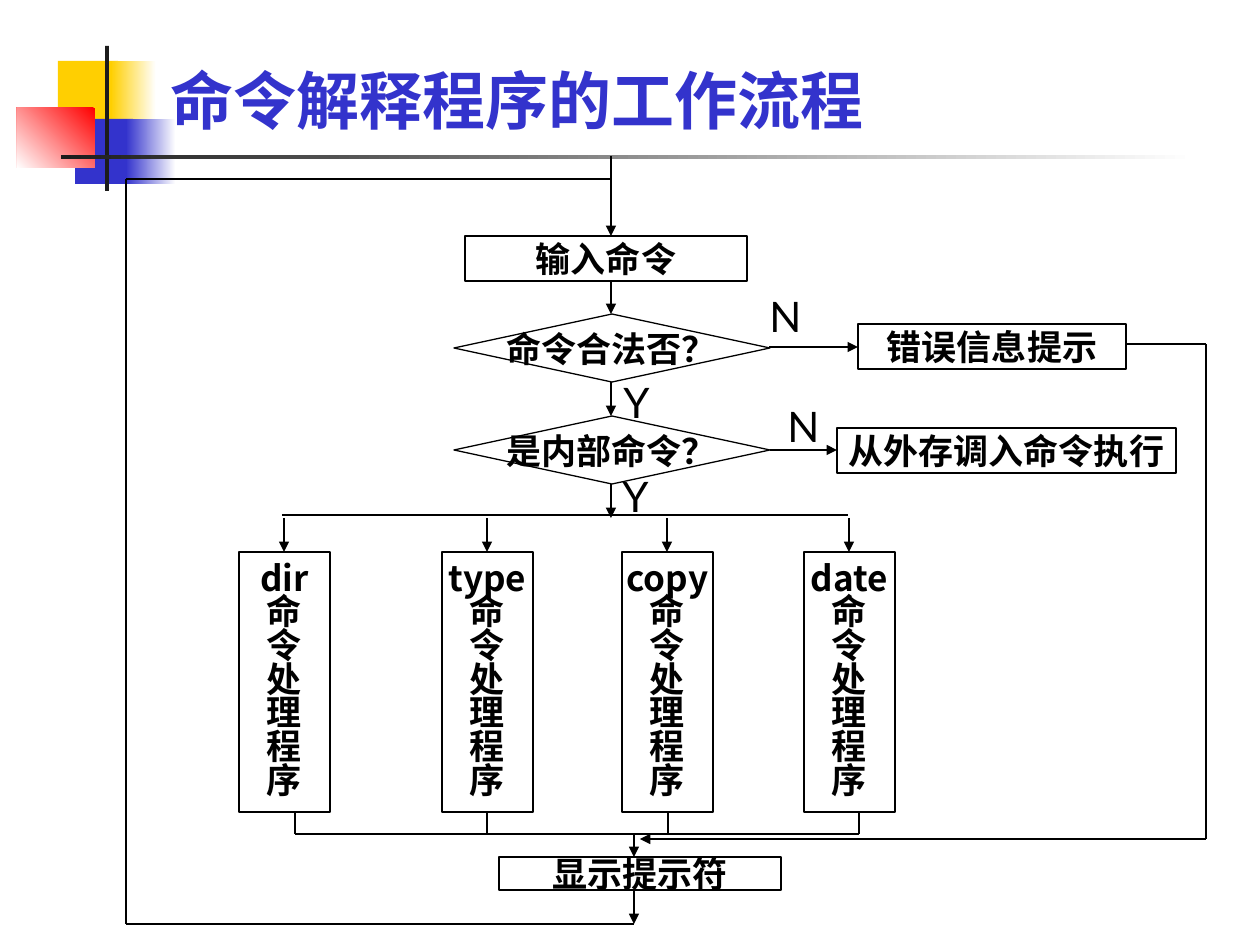
from itertools import pairwise

from lxml.etree import SubElement
from pptx import Presentation
from pptx.dml.color import RGBColor
from pptx.enum.shapes import MSO_CONNECTOR, MSO_SHAPE
from pptx.enum.text import MSO_ANCHOR, MSO_AUTO_SIZE, PP_ALIGN
from pptx.oxml.ns import qn
from pptx.util import Emu, Pt

SCALE = 914400 / 126
HAN = "Noto Sans CJK SC"
BLUE, BLACK, WHITE = "3333CC", "000000", "FFFFFF"
RECT, DIAMOND = MSO_SHAPE.RECTANGLE, MSO_SHAPE.FLOWCHART_DECISION


def px(*nums):
    """Turn pixel lengths into EMU."""
    return [Emu(round(n * SCALE)) for n in nums]


def style(frame, size, name, color, bold, align, space=None):
    for para in frame.paragraphs:
        para.alignment = align
        para.line_spacing = space
        font = para.font
        font.size, font.name, font.bold = Pt(size), name, bold
        font.color.rgb = RGBColor.from_string(color)
        SubElement(font._element, qn("a:ea"), typeface=name)


prs = Presentation()
prs.slide_width, prs.slide_height = px(1260, 945)
slide = prs.slides.add_slide(prs.slide_layouts[5])
shapes = slide.shapes

# Corner ornament and rule: box, colours from first to last stop, angle
ornament = [
    ((58, 61, 60, 65), ["FFCF01"], 0),
    ((111, 61, 45, 65), [WHITE, "FFCF01"], 180),
    ((75, 119, 58, 65), [BLUE], 0),
    ((126, 119, 50, 65), [WHITE, BLUE], 180),
    ((17, 108, 78, 60), ["FF0000", WHITE], 225),
    ((105, 46, 4, 145), ["1C1C1C"], 0),
    ((61, 155, 1134, 4), [WHITE, "1C1C1C"], 180),
]
for box, colors, angle in ornament:
    part = shapes.add_shape(RECT, *px(*box))
    part.shadow.inherit = False
    part.line.fill.background()
    if len(colors) == 1:
        part.fill.solid()
        part.fill.fore_color.rgb = RGBColor.from_string(colors[0])
    else:
        part.fill.gradient()
        part.fill.gradient_angle = angle
        for stop, color in zip(part.fill.gradient_stops, colors):
            stop.color.rgb = RGBColor.from_string(color)

title = shapes.title
title.left, title.top, title.width, title.height = px(158, 26, 1074, 117)
title.text_frame.text = "命令解释程序的工作流程"
title.text_frame.vertical_anchor = MSO_ANCHOR.BOTTOM
style(title.text_frame, 36, HAN, BLUE, True, PP_ALIGN.LEFT)
shapes.element.append(title.element)  # in front of the ornament

# Flow lines: points, arrow at the end
mid, out = 611, 634
lines = [
    ([(282, 515), (848, 515)], False),
    ([(mid, 156), (mid, 236)], True),
    ([(mid, 281), (mid, 314)], True),
    ([(mid, 382), (mid, 416)], True),
    ([(mid, 484), (mid, 518)], True),
    ([(769, 347), (858, 347)], True),
    ([(770, 450), (837, 450)], True),
    ([(295, 834), (859, 834)], False),
    ([(out, 834), (out, 857)], True),
    ([(out, 890), (out, 924)], True),
    ([(out, 924), (126, 924), (126, 179), (mid, 179)], False),
    ([(1126, 344), (1206, 344), (1206, 839), (640, 839)], True),
]

# Boxes: kind, place, text, line spacing
boxes = [
    (RECT, (465, 236, 282, 45), "输入命令", None),
    (DIAMOND, (454, 314, 316, 68), "命令合法否？", None),
    (DIAMOND, (454, 416, 316, 68), "是内部命令？", None),
    (RECT, (858, 324, 268, 45), "错误信息提示", None),
    (RECT, (837, 428, 339, 45), "从外存调入命令执行", None),
    (RECT, (499, 857, 282, 33), "显示提示符", None),
]

columns = [("dir", 239, 295), ("type", 442, 487),
           ("copy", 622, 668), ("date", 804, 859)]
for name, left, foot in columns:
    text = "\n".join([name, *"命令处理程序"])
    boxes.append((RECT, (left, 552, 91, 260), text, 0.8))
    lines.append(([(left + 45, 518), (left + 45, 552)], True))
    lines.append(([(foot, 812), (foot, 834)], False))

for kind, place, text, space in boxes:
    box = shapes.add_shape(kind, *px(*place))
    box.shadow.inherit = False
    box.fill.solid()
    box.fill.fore_color.rgb = RGBColor.from_string(WHITE)
    box.line.color.rgb = RGBColor.from_string(BLACK)
    box.line.width = Pt(0.75)
    frame = box.text_frame
    frame.text = text
    frame.word_wrap = False
    frame.vertical_anchor = MSO_ANCHOR.MIDDLE
    style(frame, 20, HAN, BLACK, True, PP_ALIGN.CENTER, space)

for points, arrow in lines:
    for start, end in pairwise(points):
        wire = shapes.add_connector(MSO_CONNECTOR.STRAIGHT, *px(*start, *end))
        wire.line.color.rgb = RGBColor.from_string(BLACK)
        wire.line.width = Pt(0.75)
        if arrow and end == points[-1]:
            SubElement(wire.line._get_or_add_ln(), qn("a:tailEnd"), type="triangle")
        SubElement(wire.element.spPr, qn("a:effectLst"))

answers = [("N", 757, 284, 57), ("N", 775, 394, 57),
           ("Y", 611, 370, 49), ("Y", 610, 464, 49)]
for text, left, top, width in answers:
    label = shapes.add_textbox(*px(left, top, width, 63))
    frame = label.text_frame
    frame.text = text
    frame.word_wrap = False
    frame.auto_size = MSO_AUTO_SIZE.SHAPE_TO_FIT_TEXT
    style(frame, 24, "Lato", BLACK, False, PP_ALIGN.LEFT)

prs.save("out.pptx")
